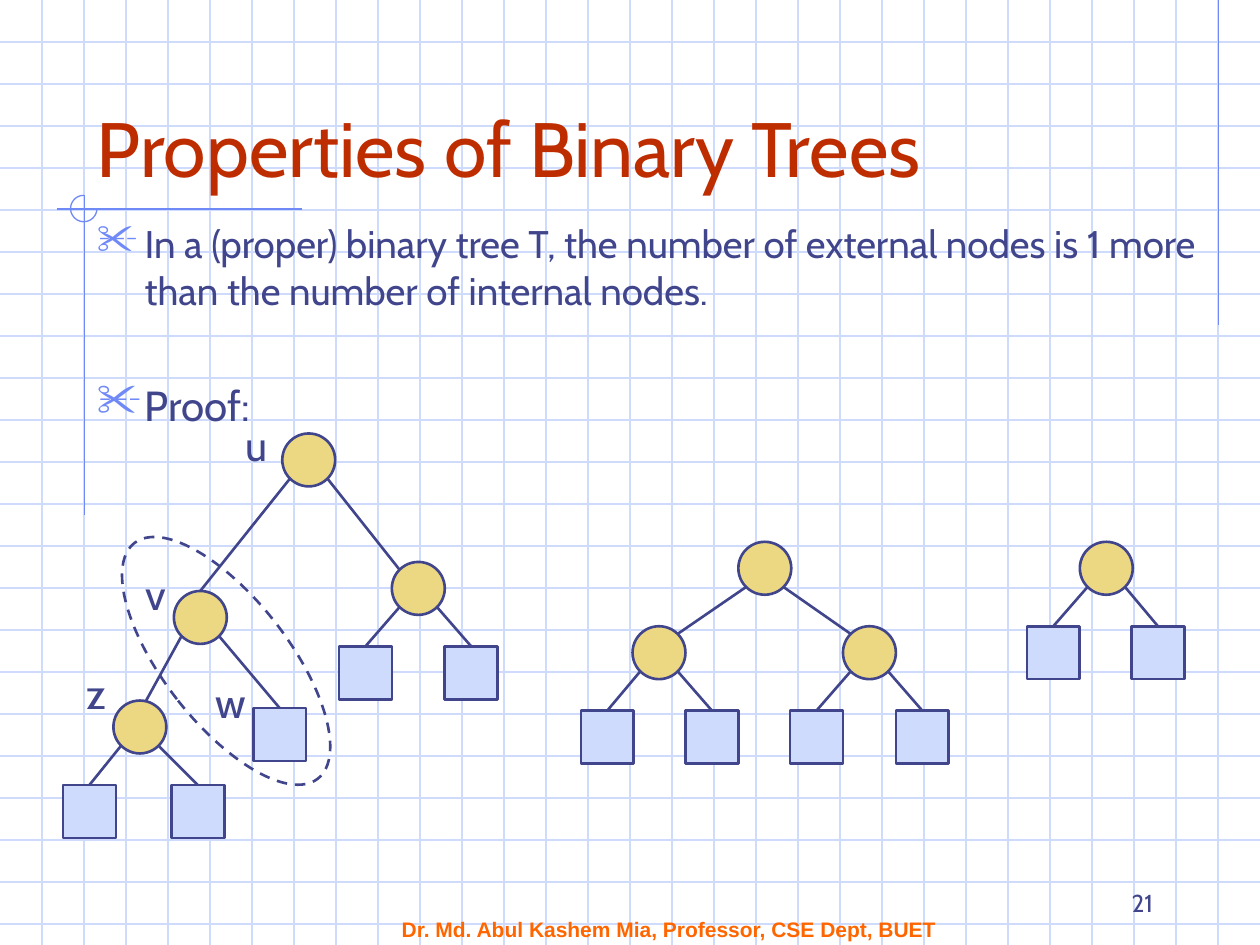
from lxml.etree import SubElement
from pptx import Presentation
from pptx.dml.color import RGBColor
from pptx.enum.dml import MSO_LINE
from pptx.enum.shapes import MSO_CONNECTOR, MSO_SHAPE
from pptx.enum.text import MSO_ANCHOR as ANCHOR, PP_ALIGN as ALIGN
from pptx.oxml.ns import qn
from pptx.util import Inches, Pt

rgb = RGBColor.from_string
INK, GRID, ACCENT, GOLD = "40458C", "CFDBFD", "6F89F7", "ECD882"

prs = Presentation()
prs.slide_width, prs.slide_height = Inches(10), Inches(7.5)
s = prs.slides.add_slide(prs.slide_layouts[6])


def add_line(x1, y1, x2, y2, color=INK, width=1.5):
    c = s.shapes.add_connector(MSO_CONNECTOR.STRAIGHT, Inches(x1), Inches(y1), Inches(x2), Inches(y2))
    c.line.color.rgb = rgb(color)
    c.line.width = Pt(width)
    SubElement(c._element.spPr, qn("a:effectLst"))
    return c


def add_text(text, x, y, w, h, size=24, font="Cabin", color=INK, bold=False,
             align=ALIGN.LEFT, anchor=ANCHOR.TOP, wrap=True):
    tf = s.shapes.add_textbox(Inches(x), Inches(y), Inches(w), Inches(h)).text_frame
    tf.word_wrap = wrap
    tf.vertical_anchor = anchor
    for i, line in enumerate(text.split("\n")):
        p = tf.add_paragraph() if i else tf.paragraphs[0]
        p.alignment = align
        r = p.add_run()
        r.text = line
        r.font.size, r.font.name, r.font.bold = Pt(size), font, bold
        r.font.color.rgb = rgb(color)
    return tf


for i in range(1, 23):
    add_line(0, i / 3, 10, i / 3, GRID, 0.75)
for i in range(1, 30):
    add_line(i / 3, 0, i / 3, 7.5, GRID, 0.75)
for ends in [(9.67, 0, 9.67, 2.58), (2.4, 1.66, 0.45, 1.66), (0.67, 1.55, 0.67, 4.09)]:
    add_line(*ends, ACCENT, 0.75)

arc = s.shapes.add_shape(MSO_SHAPE.ARC, Inches(0.56), Inches(1.55), Inches(0.21), Inches(0.21))
arc.adjustments[0], arc.adjustments[1] = 0, 162
arc.shadow.inherit = False
arc.fill.background()
arc.line.color.rgb = rgb(ACCENT)
arc.line.width = Pt(0.75)

add_text("Dr. Md. Abul Kashem Mia, Professor, CSE Dept, BUET", 3.09, 7.28, 4.67, 0.18,
         size=12, font="Arial", color="FF6600", bold=True, anchor=ANCHOR.MIDDLE, wrap=False)
add_text("21", 7.17, 6.83, 2.08, 0.5, size=14, align=ALIGN.RIGHT, anchor=ANCHOR.BOTTOM)
add_text("Properties of Binary Trees", 0.67, 0.33, 8.5, 1.25, size=44, color="BE2D00",
         anchor=ANCHOR.BOTTOM)

tf = add_text("In a (proper) binary tree T, the number of external nodes is 1 more "
              "than the number of internal nodes.\nProof:", 0.67, 1.7, 8.98, 1.81)
for p, size, before in zip(tf.paragraphs, (22, 24), (5.5, 38)):
    p.runs[0].font.size = Pt(size)
    p.space_before = Pt(before)
    pPr = p._p.get_or_add_pPr()
    pPr.set("marL", str(Inches(0.38)))
    pPr.set("indent", str(-Inches(0.38)))
    SubElement(SubElement(pPr, qn("a:buClr")), qn("a:srgbClr"), val=ACCENT)
    SubElement(pPr, qn("a:buSzPct"), val="110000")
    SubElement(pPr, qn("a:buChar"), char="✂")

R, CORNER = 0.21, 0.15
internal = {
    "u": (2.45, 3.65), "v": (1.59, 4.9), "z": (1.11, 5.77), "right": (3.32, 4.67),
    "mid": (6.07, 4.51), "mid_l": (5.23, 5.18), "mid_r": (6.9, 5.18), "small": (8.78, 4.51),
}
external = {
    "w": (2.22, 5.83), "z_l": (0.71, 6.44), "z_r": (1.57, 6.44),
    "right_l": (2.9, 5.34), "right_r": (3.74, 5.34),
    "mid_ll": (4.82, 5.85), "mid_lr": (5.65, 5.85), "mid_rl": (6.48, 5.85), "mid_rr": (7.32, 5.85),
    "small_l": (8.36, 5.18), "small_r": (9.19, 5.18),
}
children = {
    "u": ("v", "right"), "v": ("z", "w"), "z": ("z_l", "z_r"), "right": ("right_l", "right_r"),
    "mid": ("mid_l", "mid_r"), "mid_l": ("mid_ll", "mid_lr"), "mid_r": ("mid_rl", "mid_rr"),
    "small": ("small_l", "small_r"),
}
entry = {"v": (0, -R), "z": (0.05, -R)}

nodes = {}
for group, kind, color in [(internal, MSO_SHAPE.OVAL, GOLD), (external, MSO_SHAPE.RECTANGLE, GRID)]:
    for name, (x, y) in group.items():
        sp = s.shapes.add_shape(kind, Inches(x - R), Inches(y - R), Inches(2 * R), Inches(2 * R))
        sp.shadow.inherit = False
        sp.fill.solid()
        sp.fill.fore_color.rgb = rgb(color)
        sp.line.color.rgb = rgb(INK)
        sp.line.width = Pt(1.5)
        nodes[name] = sp

for parent, pair in children.items():
    px, py = internal[parent]
    for child, side in zip(pair, (-1, 1)):
        x, y = internal.get(child) or external[child]
        dx, dy = (0, -R) if child in external else entry.get(child, (-side * CORNER, -CORNER))
        c = add_line(x + dx, y + dy, px + side * CORNER, py + CORNER)
        if child in external:
            c.begin_connect(nodes[child], 0)

oval = s.shapes.add_shape(MSO_SHAPE.OVAL, Inches(1.3), Inches(4.06), Inches(0.99), Inches(2.37))
oval.rotation = 322.1
oval.shadow.inherit = False
oval.fill.background()
oval.line.color.rgb = rgb(INK)
oval.line.width = Pt(1.5)
oval.line.dash_style = MSO_LINE.DASH

for label, x, y in [("u", 1.85, 3.28), ("v", 1.06, 4.46), ("z", 0.59, 5.25), ("w", 1.61, 5.32)]:
    add_text(label, x, y, 0.24, 0.5, align=ALIGN.CENTER)

prs.save("out.pptx")
